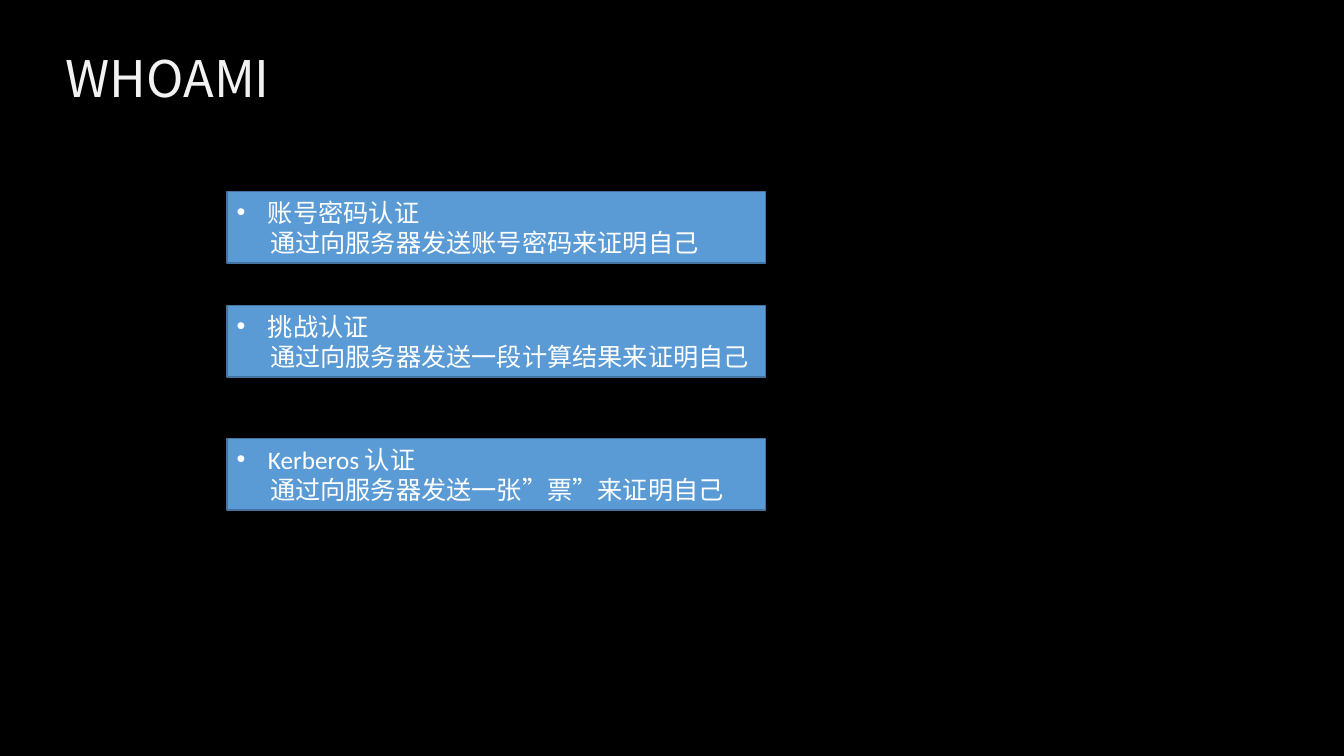
from dataclasses import dataclass

from lxml.etree import SubElement
from pptx import Presentation
from pptx.dml.color import RGBColor
from pptx.enum.shapes import MSO_SHAPE
from pptx.enum.text import MSO_ANCHOR, MSO_AUTO_SIZE, PP_ALIGN
from pptx.oxml.ns import qn
from pptx.util import Inches, Pt

TITLE = "WHOAMI"
METHODS = [
    ("账号密码认证", "通过向服务器发送账号密码来证明自己", 1.9),
    ("挑战认证", "通过向服务器发送一段计算结果来证明自己", 3.03),
    ("Kerberos 认证", "通过向服务器发送一张”票”来证明自己", 4.35),
]
CARD_LEFT, CARD_WIDTH, ROW_HEIGHT = 2.25, 5.34, 0.71
BULLET_INDENT, DETAIL_INDENT = 0.31, 0.33


@dataclass(frozen=True)
class Theme:
    background: RGBColor = RGBColor.from_string("000000")
    title: RGBColor = RGBColor.from_string("F2F2F2")
    card: RGBColor = RGBColor.from_string("5B9BD5")
    border: RGBColor = RGBColor.from_string("43739E")
    text: RGBColor = RGBColor.from_string("FFFFFF")
    title_font: str = "Noto Sans CJK KR"
    body_font: str = "Calibri"
    title_size: int = 36
    body_size: int = 18


THEME = Theme()


def style_paragraph(paragraph, font_name, size, color):
    paragraph.alignment = PP_ALIGN.LEFT
    font = paragraph.font
    font.name = font_name
    font.size = Pt(size)
    font.color.rgb = color
    properties = paragraph._p.pPr.find(qn("a:defRPr"))
    SubElement(properties, qn("a:ea"), typeface=THEME.title_font)


def indent_paragraph(paragraph, left, bullet=None):
    properties = paragraph._p.get_or_add_pPr()
    properties.set("marL", str(Inches(left)))
    if bullet:
        properties.set("indent", str(-Inches(left)))
        SubElement(properties, qn("a:buFont"), typeface="Arial")
        SubElement(properties, qn("a:buChar"), char=bullet)


def add_title(slide):
    title = slide.shapes.title
    title.left, title.top = Inches(0.55), Inches(0.41)
    title.width, title.height = Inches(5.51), Inches(ROW_HEIGHT)
    frame = title.text_frame
    frame.text = TITLE
    frame.auto_size = MSO_AUTO_SIZE.NONE
    frame.vertical_anchor = MSO_ANCHOR.MIDDLE
    style_paragraph(frame.paragraphs[0], THEME.title_font, THEME.title_size, THEME.title)


def add_method(slide, name, detail, top):
    card = slide.shapes.add_shape(
        MSO_SHAPE.RECTANGLE, Inches(CARD_LEFT), Inches(top), Inches(CARD_WIDTH), Inches(ROW_HEIGHT)
    )
    card.shadow.inherit = False
    card.fill.solid()
    card.fill.fore_color.rgb = THEME.card
    card.line.color.rgb = THEME.border
    card.line.width = Pt(1)
    frame = card.text_frame
    frame.word_wrap = True
    frame.vertical_anchor = MSO_ANCHOR.MIDDLE
    heading, explanation = frame.paragraphs[0], frame.add_paragraph()
    heading.text, explanation.text = name, detail
    indent_paragraph(heading, BULLET_INDENT, "•")
    indent_paragraph(explanation, DETAIL_INDENT)
    for paragraph in frame.paragraphs:
        style_paragraph(paragraph, THEME.body_font, THEME.body_size, THEME.text)


def main():
    presentation = Presentation()
    presentation.slide_width = Inches(13.33)
    presentation.slide_height = Inches(7.5)
    slide = presentation.slides.add_slide(presentation.slide_layouts[5])
    slide.background.fill.solid()
    slide.background.fill.fore_color.rgb = THEME.background
    add_title(slide)
    for name, detail, top in METHODS:
        add_method(slide, name, detail, top)
    presentation.save("out.pptx")


if __name__ == "__main__":
    main()
